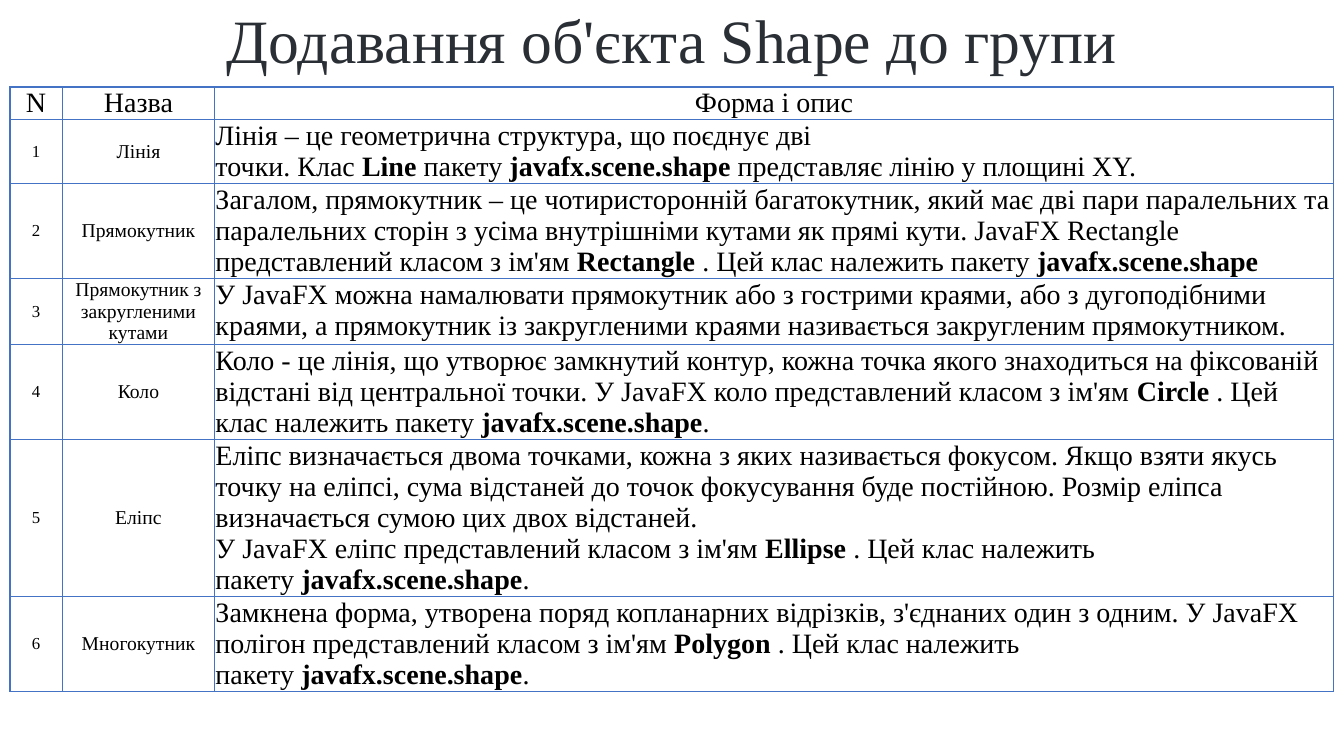
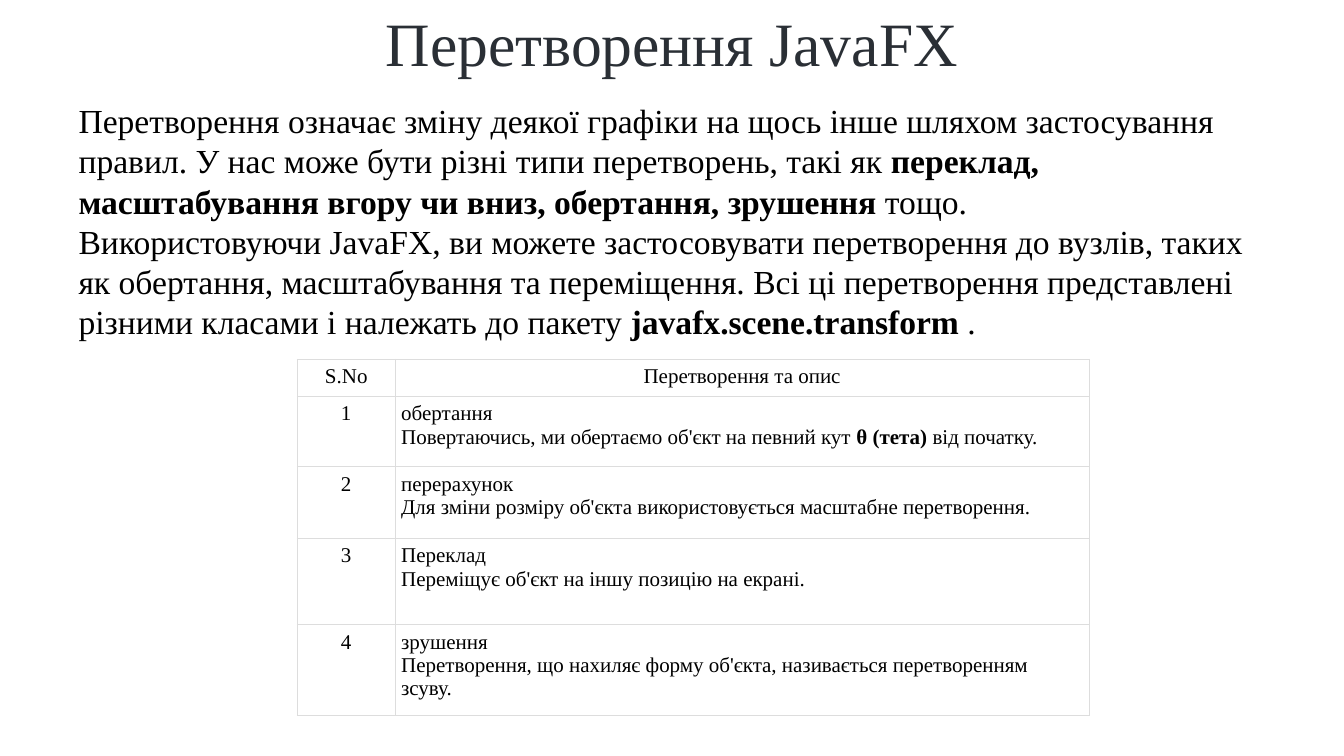
from dataclasses import dataclass

from lxml.etree import SubElement
from pptx import Presentation
from pptx.dml.color import RGBColor
from pptx.enum.text import MSO_ANCHOR, PP_ALIGN
from pptx.oxml.ns import qn
from pptx.slide import Slide
from pptx.table import _Cell
from pptx.text.text import TextFrame
from pptx.util import Cm, Pt

FONT = "Times New Roman"
TITLE_COLOR = RGBColor(0x2A, 0x2F, 0x35)
TEXT_COLOR = RGBColor(0x00, 0x00, 0x00)
CELL_COLOR = RGBColor(0xFF, 0xFF, 0xFF)
BLUE_BORDER = RGBColor(0x44, 0x72, 0xC4)
GREY_BORDER = RGBColor(0xDD, 0xDD, 0xDD)
SLIDE_WIDTH = Cm(33.87)
SLIDE_HEIGHT = Cm(19.05)
NO_BREAK_SPACE = chr(160)


@dataclass(frozen=True)
class TextStyle:
    size: float
    color: RGBColor = TEXT_COLOR
    align: PP_ALIGN = PP_ALIGN.LEFT
    spacing: float = 1.0


@dataclass(frozen=True)
class TableStyle:
    border: RGBColor
    border_width: float
    margin: Cm
    header_size: float
    column_sizes: tuple[float, ...]
    label_anchor: MSO_ANCHOR


@dataclass(frozen=True)
class Grid:
    left: Cm
    top: Cm
    column_widths: tuple[float, ...]
    row_heights: tuple[float, ...]


SHAPE_STYLE = TableStyle(BLUE_BORDER, 1, Cm(0.02), 20, (12, 14, 20), MSO_ANCHOR.MIDDLE)
SHAPE_GRID = Grid(Cm(0.25), Cm(2.19), (1.32, 3.84, 28.19),
                  (0.8, 1.6, 2.35, 1.65, 2.35, 3.9, 2.35))
SHAPE_ROWS = (
    ("N", "Назва", "Форма і опис"),
    ("1", "Лінія",
     "Лінія – це геометрична структура, що поєднує дві точки.~Клас~**Line~**пакету~"
     "**javafx.scene.shape~**представляє лінію у площині XY."),
    ("2", "Прямокутник",
     "Загалом, прямокутник – це чотиристоронній багатокутник, який має дві пари паралельних "
     "та паралельних сторін з усіма внутрішніми кутами як прямі кути.~JavaFX Rectangle "
     "представлений класом з ім'ям~**Rectangle**~.~Цей клас належить пакету~"
     "**javafx.scene.shape**"),
    ("3", "Прямокутник з закругленими кутами",
     "У JavaFX можна намалювати прямокутник або з гострими краями, або з дугоподібними "
     "краями, а прямокутник із закругленими краями називається закругленим прямокутником."),
    ("4", "Коло",
     "Коло - це лінія, що утворює замкнутий контур, кожна точка якого знаходиться на "
     "фіксованій відстані від центральної точки.~У JavaFX коло представлений класом з "
     "ім'ям~**Circle**~.~Цей клас належить пакету~**javafx.scene.shape**."),
    ("5", "Еліпс",
     "Еліпс визначається двома точками, кожна з яких називається фокусом.~Якщо взяти якусь "
     "точку на еліпсі, сума відстаней до точок фокусування буде постійною.~Розмір еліпса "
     "визначається сумою цих двох відстаней.\n"
     "У JavaFX еліпс представлений класом з ім'ям~**Ellipse**~.~Цей клас належить "
     "пакету~**javafx.scene.shape**."),
    ("6", "Многокутник",
     "Замкнена форма, утворена поряд копланарних відрізків, з'єднаних один з одним.~У JavaFX "
     "полігон представлений класом з ім'ям~**Polygon**~.~Цей клас належить "
     "пакету~**javafx.scene.shape**."),
)

TRANSFORM_STYLE = TableStyle(GREY_BORDER, 0.6, Cm(0.15), 15, (15, 15), MSO_ANCHOR.TOP)
TRANSFORM_GRID = Grid(Cm(7.49), Cm(9.05), (2.47, 17.49), (0.88, 1.77, 1.81, 2.17, 2.29))
TRANSFORM_ROWS = (
    ("S.No", "Перетворення та опис"),
    ("1", "обертання\nПовертаючись, ми обертаємо об'єкт на певний кут~"
          "**θ (тета)~**від початку."),
    ("2", "перерахунок\nДля зміни розміру об'єкта використовується масштабне перетворення."),
    ("3", "Переклад\nПереміщує об'єкт на іншу позицію на екрані."),
    ("4", "зрушення\nПеретворення, що нахиляє форму об'єкта, називається перетворенням зсуву."),
)
TRANSFORM_INTRO = (
    "Перетворення означає зміну деякої графіки на щось інше шляхом застосування правил.~"
    "У нас може бути різні типи перетворень, такі як~**переклад, масштабування вгору чи "
    "вниз, обертання, зрушення**~тощо.\n"
    "Використовуючи JavaFX, ви можете застосовувати перетворення до вузлів, таких як "
    "обертання, масштабування та переміщення.~Всі ці перетворення представлені різними "
    "класами і належать до пакету~**javafx.scene.transform**~."
)


def write_text(frame: TextFrame, text: str, style: TextStyle) -> None:
    """Write one paragraph per line; ** encloses bold parts, ~ is a no-break space."""
    for index, line in enumerate(text.split("\n")):
        para = frame.add_paragraph() if index else frame.paragraphs[0]
        para.alignment = style.align
        para.line_spacing = style.spacing
        for position, part in enumerate(line.split("**")):
            if not part:
                continue
            span = para.add_run()
            span.text = part.replace("~", NO_BREAK_SPACE)
            span.font.name = FONT
            span.font.size = Pt(style.size)
            span.font.bold = position % 2 == 1
            span.font.color.rgb = style.color


def add_text(page: Slide, left: Cm, top: Cm, width: Cm, height: Cm, text: str,
             style: TextStyle, anchor: MSO_ANCHOR = MSO_ANCHOR.TOP) -> None:
    box = page.shapes.add_textbox(left, top, width, height)
    box.text_frame.word_wrap = True
    box.text_frame.vertical_anchor = anchor
    write_text(box.text_frame, text, style)


def add_title(page: Slide, text: str, spacing: float, anchor: MSO_ANCHOR) -> None:
    style = TextStyle(44, TITLE_COLOR, PP_ALIGN.CENTER, spacing)
    add_text(page, Cm(0), Cm(0), SLIDE_WIDTH, Cm(2.2), text, style, anchor)


def set_borders(cell: _Cell, color: RGBColor, width: float) -> None:
    properties = cell._tc.get_or_add_tcPr()
    for side in ("a:lnL", "a:lnR", "a:lnT", "a:lnB"):
        line = SubElement(properties, qn(side), w=str(Pt(width)))
        fill = SubElement(line, qn("a:solidFill"))
        SubElement(fill, qn("a:srgbClr"), val=str(color))


def add_grid(page: Slide, grid: Grid, rows: tuple[tuple[str, ...], ...],
             style: TableStyle) -> None:
    """Add a table with a centred header, centred labels and a left-aligned last column."""
    widths = [Cm(width) for width in grid.column_widths]
    heights = [Cm(height) for height in grid.row_heights]
    table = page.shapes.add_table(len(rows), len(widths), grid.left, grid.top,
                                  sum(widths), sum(heights)).table
    table.first_row = table.horz_banding = False
    for column, width in zip(table.columns, widths):
        column.width = width
    for row, height in zip(table.rows, heights):
        row.height = height
    last_column = len(widths) - 1
    for row_index, texts in enumerate(rows):
        for column_index, text in enumerate(texts):
            cell = table.cell(row_index, column_index)
            is_header = row_index == 0
            is_description = column_index == last_column and not is_header
            cell.margin_left = cell.margin_right = style.margin
            cell.margin_top = cell.margin_bottom = style.margin
            is_label = not is_header and not is_description
            cell.vertical_anchor = style.label_anchor if is_label else MSO_ANCHOR.TOP
            set_borders(cell, style.border, style.border_width)
            cell.fill.solid()
            cell.fill.fore_color.rgb = CELL_COLOR
            size = style.header_size if is_header else style.column_sizes[column_index]
            align = PP_ALIGN.LEFT if is_description else PP_ALIGN.CENTER
            write_text(cell.text_frame, text, TextStyle(size, align=align))


def main() -> None:
    deck = Presentation()
    deck.slide_width = SLIDE_WIDTH
    deck.slide_height = SLIDE_HEIGHT
    blank = deck.slide_layouts[6]

    shape_page = deck.slides.add_slide(blank)
    add_grid(shape_page, SHAPE_GRID, SHAPE_ROWS, SHAPE_STYLE)
    add_title(shape_page, "Додавання об'єкта Shape до групи", 0.9, MSO_ANCHOR.MIDDLE)

    transform_page = deck.slides.add_slide(blank)
    add_title(transform_page, "Перетворення JavaFX", 1.0, MSO_ANCHOR.TOP)
    add_text(transform_page, Cm(1.73), Cm(2.39), Cm(30.4), Cm(6.4), TRANSFORM_INTRO,
             TextStyle(24))
    add_grid(transform_page, TRANSFORM_GRID, TRANSFORM_ROWS, TRANSFORM_STYLE)

    deck.save("out.pptx")


if __name__ == "__main__":
    main()
